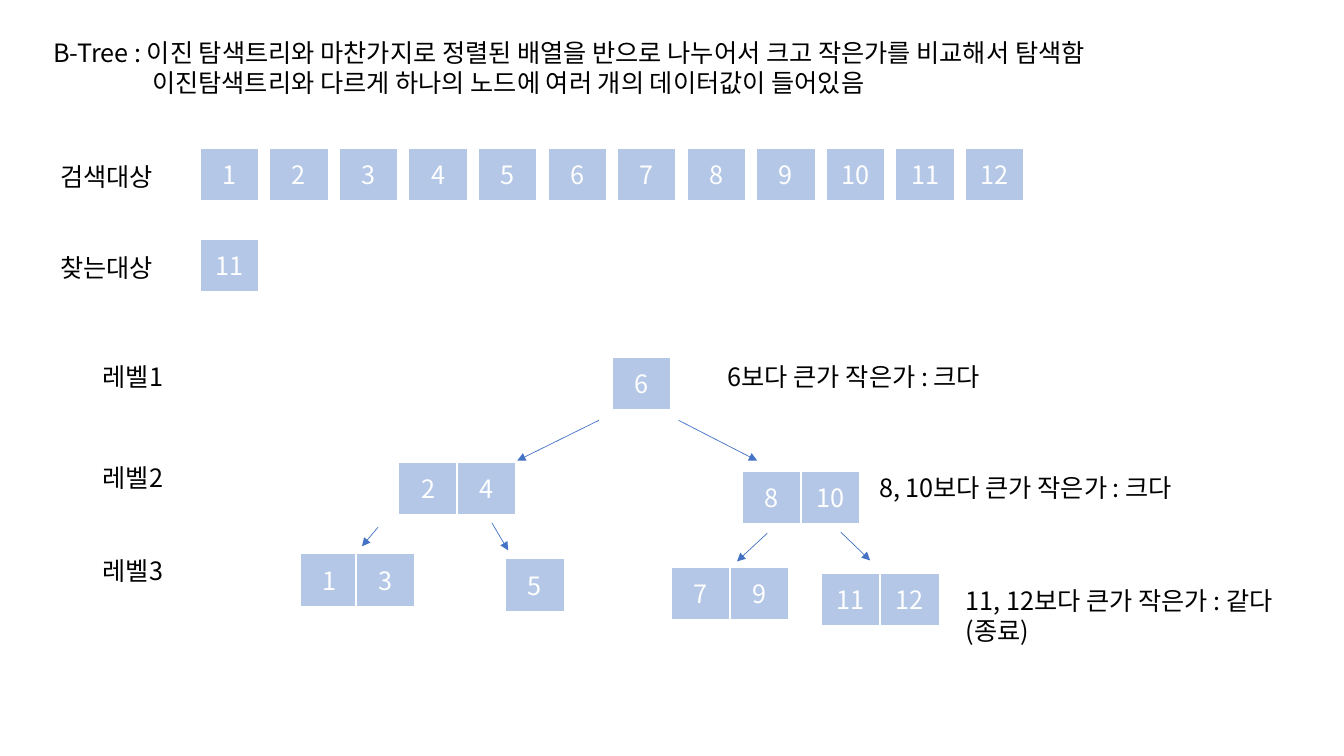
from lxml import etree
from pptx import Presentation
from pptx.dml.color import RGBColor
from pptx.enum.shapes import MSO_CONNECTOR, MSO_SHAPE
from pptx.enum.text import MSO_ANCHOR, MSO_AUTO_SIZE, PP_ALIGN
from pptx.oxml.ns import qn
from pptx.util import Inches, Pt

RECT = MSO_SHAPE.RECTANGLE
LINE = MSO_CONNECTOR.STRAIGHT
TOP, MID = MSO_ANCHOR.TOP, MSO_ANCHOR.MIDDLE
LEFT, MIDST = PP_ALIGN.LEFT, PP_ALIGN.CENTER
FIXED = MSO_AUTO_SIZE.NONE

BLACK = RGBColor(0, 0, 0)
WHITE = RGBColor(255, 255, 255)
PALE = RGBColor(0xB4, 0xC7, 0xE7)
BLUE = RGBColor(0x44, 0x72, 0xC4)
FONT = "Noto Sans CJK JP"
CELL_W, CELL_H = 0.59, 0.53
PITCH = 0.69

HEAD = [
    "B-Tree : 이진 탐색트리와 마찬가지로 정렬된 배열을 반으로 나누어서 크고 작은가를 비교해서 탐색함",
    "이진탐색트리와 다르게 하나의 노드에 여러 개의 데이터값이 들어있음",
]
# Left, top, step between cells, keys
NODES = [
    (6.07, 3.54, 0.59, [6]),
    (3.95, 4.58, 0.58, [2, 4]),
    (7.36, 4.67, 0.58, [8, 10]),
    (2.97, 5.49, 0.56, [1, 3]),
    (5.01, 5.54, 0.59, [5]),
    (6.65, 5.62, 0.59, [7, 9]),
    (8.14, 5.68, 0.59, [11, 12]),
]
EDGES = [
    (5.94, 4.17, 5.13, 4.57),
    (6.73, 4.17, 7.51, 4.57),
    (3.75, 5.23, 3.59, 5.42),
    (4.88, 5.19, 5.04, 5.46),
    (7.61, 5.29, 7.31, 5.57),
    (8.34, 5.28, 8.63, 5.56),
]
LEVELS = [3.54, 4.54, 5.46]
NOTES = [
    (7.12, 3.54, 0.4, "6보다 큰가 작은가 : 크다"),
    (8.62, 4.64, 0.4, "8, 10보다 큰가 작은가 : 크다"),
    (9.48, 5.76, 0.71, "11, 12보다 큰가 작은가 : 같다(종료)"),
]


def write(shape, *lines, color=BLACK, align=LEFT, anchor=TOP):
    """Fill a shape with one paragraph per line and format it."""
    frame = shape.text_frame
    frame.word_wrap = True
    frame.auto_size = FIXED
    frame.vertical_anchor = anchor
    frame.text = "\n".join(lines)
    for para in frame.paragraphs:
        para.alignment = align
        para.line_spacing = Pt(21.6)
        for run in para.runs:
            run.font.name = FONT
            run.font.size = Pt(18)
            run.font.color.rgb = color
            east = etree.SubElement(run.font._element, qn("a:ea"))
            east.set("typeface", FONT)


def place(shape, x, y, w, h):
    """Move a shape to a box given in inches."""
    shape.left, shape.top = Inches(x), Inches(y)
    shape.width, shape.height = Inches(w), Inches(h)


def label(slide, x, y, w, h, text):
    """Add a text box."""
    box = slide.shapes.add_textbox(Inches(x), Inches(y), Inches(w), Inches(h))
    write(box, text)


def cells(slide, x, y, step, keys):
    """Add a row of key cells from a left top corner."""
    for i, key in enumerate(keys):
        cell = slide.shapes.add_shape(
            RECT, Inches(x + i * step), Inches(y), Inches(CELL_W), Inches(CELL_H))
        cell.shadow.inherit = False
        cell.fill.solid()
        cell.fill.fore_color.rgb = PALE
        cell.line.color.rgb = WHITE
        cell.line.width = Pt(1.5)
        write(cell, str(key), color=WHITE, align=MIDST, anchor=MID)


def arrow(slide, *ends):
    """Add a thin arrow between two points."""
    edge = slide.shapes.add_connector(LINE, *map(Inches, ends))
    edge.line.color.rgb = BLUE
    edge.line.width = Pt(0.5)
    tip = etree.SubElement(edge.line._get_or_add_ln(), qn("a:tailEnd"))
    tip.set("type", "triangle")
    etree.SubElement(edge._element.spPr, qn("a:effectLst"))


def heading(slide, x, y, w, h):
    """Set the title, its second line indented past the term."""
    title = slide.shapes.title
    place(title, x, y, w, h)
    write(title, *HEAD)
    props = title.text_frame.paragraphs[1]._p.get_or_add_pPr()
    props.set("marL", str(Inches(0.98)))


def search(slide, x, y):
    """Add the sorted keys and, below them, the key to find."""
    rows = [("검색대상", range(1, 13)), ("찾는대상", [11])]
    for i, (name, keys) in enumerate(rows):
        top = y + i * 0.9
        label(slide, x, top + 0.08, 1.21, 0.4, name)
        cells(slide, x + 1.48, top, PITCH, keys)


def tree(slide, x, y):
    """Add levels, nodes, arrows and notes, offset by x and y."""
    for i, top in enumerate(LEVELS, 1):
        label(slide, x + 0.92, y + top, 1.39, 0.4, f"레벨{i}")
    for left, top, step, keys in NODES:
        cells(slide, x + left, y + top, step, keys)
    for x1, y1, x2, y2 in EDGES:
        arrow(slide, x + x1, y + y1, x + x2, y + y2)
    for left, top, high, text in NOTES:
        label(slide, x + left, y + top, 3.62, high, text)


def main():
    """Build the slide and save it."""
    deck = Presentation()
    deck.slide_width, deck.slide_height = Inches(13.33), Inches(7.5)
    slide = deck.slides.add_slide(deck.slide_layouts[5])
    heading(slide, 0.43, 0.32, 11.54, 0.71)
    search(slide, 0.5, 1.47)
    tree(slide, 0, 0)
    deck.save("out.pptx")


main()
